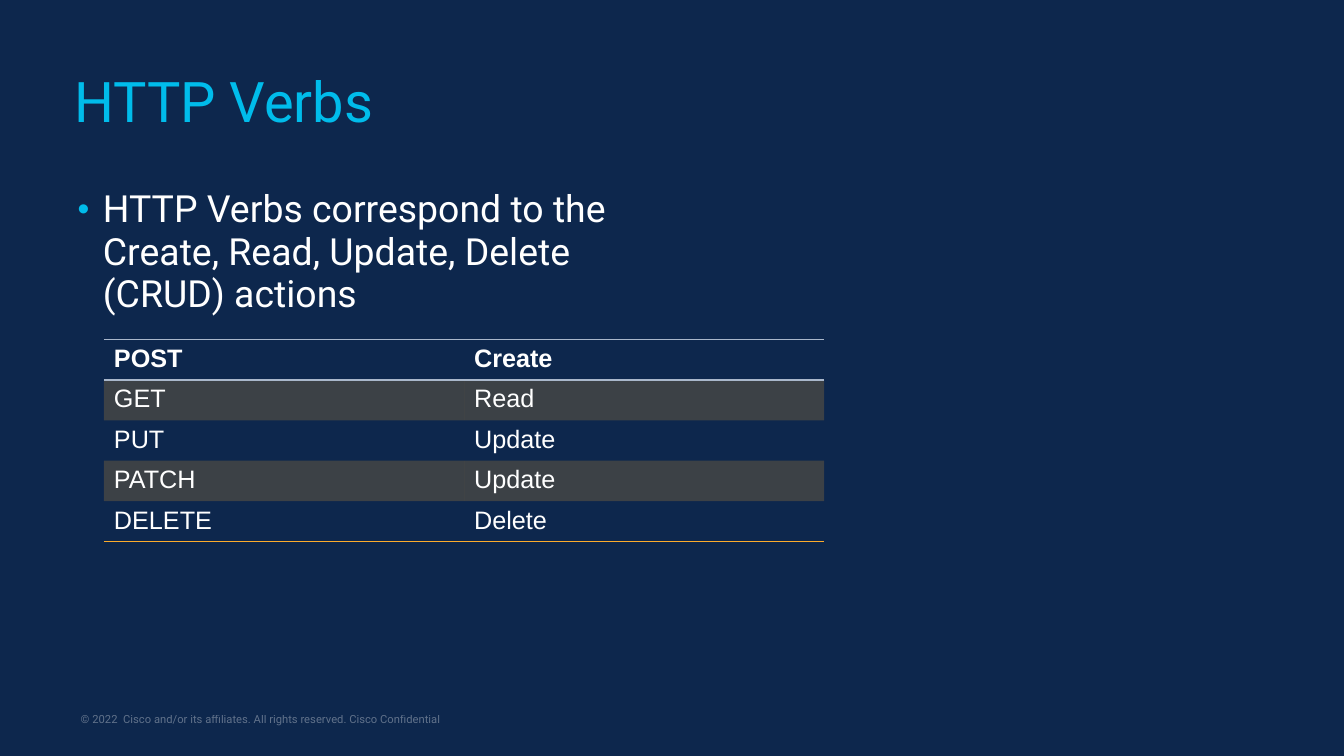
import pptx
import pptx.dml.color
import pptx.enum.text
import pptx.oxml
import pptx.oxml.ns
import pptx.util
from lxml import etree

COLORS = {
    "navy": "0D274D",
    "sky": "00BCEB",
    "white": "FFFFFF",
    "amber": "FBAB2C",
    "mist": "A9B7CB",
}
VERBS = [
    ("POST", "Create"),
    ("GET", "Read"),
    ("PUT", "Update"),
    ("PATCH", "Update"),
    ("DELETE", "Delete"),
]
RULES = {0: ("mist", 1), 1: ("mist", 1), len(VERBS): ("amber", 1.5)}
ANCHOR = pptx.enum.text.MSO_ANCHOR


def rgb(name):
    return pptx.dml.color.RGBColor.from_string(COLORS[name])


def add_child(parent, tag, **attributes):
    child = etree.SubElement(parent, pptx.oxml.ns.qn(tag))
    for key, value in attributes.items():
        child.set(key, str(value))
    return child


def set_fill(fill, color, opacity=100):
    fill.solid()
    fill.fore_color.rgb = rgb(color)
    if opacity < 100:
        for tint in fill._xPr.iter(pptx.oxml.ns.qn("a:srgbClr")):
            add_child(tint, "a:alpha", val=opacity * 1000)


def write_text(frame, text, size=18, font="Roboto", color="white", bold=False,
               opacity=100, spacing=None, bullet=None):
    paragraph = frame.paragraphs[0]
    if spacing:
        paragraph.line_spacing = spacing
    if bullet:
        properties = paragraph._p.get_or_add_pPr()
        indent = pptx.util.Inches(0.25)
        properties.set("marL", str(indent))
        properties.set("indent", str(-indent))
        tint = add_child(properties, "a:buClr")
        add_child(tint, "a:srgbClr", val=COLORS[bullet])
        add_child(properties, "a:buSzPct", val=90000)
        add_child(properties, "a:buFont", typeface="Arial")
        add_child(properties, "a:buChar", char="•")
    run = paragraph.add_run()
    run.text = text
    run.font.name = font
    run.font.size = pptx.util.Pt(size)
    run.font.bold = bold
    set_fill(run.font.fill, color, opacity)


class Deck:
    def __init__(self):
        self.presentation = pptx.Presentation()
        self.presentation.slide_width = pptx.util.Inches(13.33)
        self.presentation.slide_height = pptx.util.Inches(7.5)
        self.slide = self.presentation.slides.add_slide(
            self.presentation.slide_layouts[6])
        set_fill(self.slide.background.fill, "navy")

    def place(self, left, top, width, height):
        across = self.presentation.slide_width / 100
        down = self.presentation.slide_height / 100
        return [int(n) for n in
                (left * across, top * down, width * across, height * down)]

    def text(self, share, text, anchor=ANCHOR.TOP, insets=(0.1, 0.05),
             columns=1, **style):
        frame = self.slide.shapes.add_textbox(*self.place(*share)).text_frame
        frame.word_wrap = True
        frame.vertical_anchor = anchor
        side, end = (pptx.util.Inches(inset) for inset in insets)
        frame.margin_left = frame.margin_right = side
        frame.margin_top = frame.margin_bottom = end
        if columns > 1:
            frame._txBody.bodyPr.set("numCol", str(columns))
        write_text(frame, text, **style)

    def borders(self, cell, top, bottom):
        properties = cell._tc.get_or_add_tcPr()
        edges = {"a:lnL": None, "a:lnR": None, "a:lnT": top, "a:lnB": bottom}
        for tag, rule in edges.items():
            if rule:
                color, weight = rule
                line = add_child(properties, tag, w=pptx.util.Pt(weight))
                fill = add_child(line, "a:solidFill")
                add_child(fill, "a:srgbClr", val=COLORS[color])
            else:
                line = add_child(properties, tag, w=0)
                add_child(line, "a:noFill")

    def table(self, share, rows, rules):
        table = self.slide.shapes.add_table(
            len(rows), len(rows[0]), *self.place(*share)).table
        table.horz_banding = False
        for r, row in enumerate(rows):
            for c, text in enumerate(row):
                cell = table.cell(r, c)
                self.borders(cell, rules.get(r), rules.get(r + 1))
                if r % 2:
                    set_fill(cell.fill, "amber", 20)
                else:
                    cell.fill.background()
                write_text(cell.text_frame, text, font="Arial", bold=r == 0)

    def save(self):
        self.presentation.save("out.pptx")


def main():
    deck = Deck()
    deck.text((5.33, 93.47, 37.21, 3.07),
              "© 2022  Cisco and/or its affiliates. All rights reserved. Cisco Confidential",
              anchor=ANCHOR.BOTTOM, insets=(0.09, 0.04), size=8, opacity=34)
    deck.text((5.78, 24.27, 88.82, 64.93),
              "HTTP Verbs correspond to the Create, Read, Update, Delete (CRUD) actions",
              insets=(0, 0.05), columns=2, size=26.7, spacing=0.95, bullet="sky")
    deck.text((4.8, 6.67, 91.3, 14.27), "HTTP Verbs",
              anchor=ANCHOR.MIDDLE, size=40, color="sky", spacing=0.9)
    deck.table((7.73, 44.93, 53.6, 25.4), VERBS, RULES)
    deck.save()


if __name__ == "__main__":
    main()
